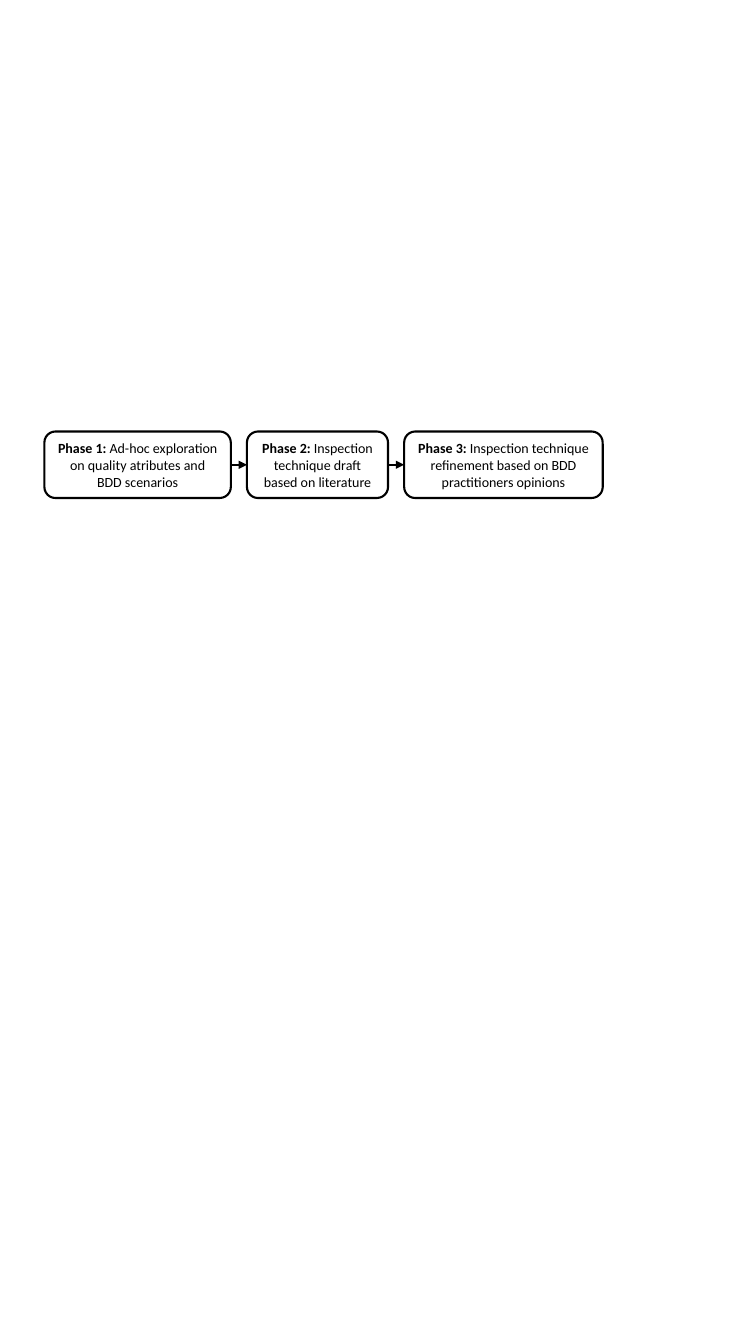
"""Draw three research phases as a row of linked boxes."""
from lxml.etree import SubElement
from pptx import Presentation
from pptx.dml.color import RGBColor
from pptx.enum.shapes import MSO_CONNECTOR, MSO_SHAPE
from pptx.enum.text import MSO_ANCHOR, PP_ALIGN
from pptx.oxml.ns import qn
from pptx.util import Inches, Pt

COLORS = {"ink": "000000", "paper": "FFFFFF"}
INK, PAPER = (RGBColor.from_string(COLORS[name]) for name in ("ink", "paper"))
FONT = {"name": "Calibri", "size": Pt(10)}
FRAME = {"word_wrap": True, "vertical_anchor": MSO_ANCHOR.MIDDLE}
PHASES = [
    (1.85, "Ad-hoc exploration on quality atributes and BDD scenarios"),
    (1.4, "Inspection technique draft based on literature"),
    (1.97, "Inspection technique refinement based on BDD practitioners opinions"),
]
LEFT, TOP, HIGH, GAP = 0.44, 4.28, 0.66, 0.16


def stroke(item):
    item.line.color.rgb = INK
    item.line.width = Pt(1.5)


deck = Presentation()
deck.slide_width, deck.slide_height = Inches(7.5), Inches(13.33)
slide = deck.slides.add_slide(deck.slide_layouts[6])

boxes = []
left = LEFT
for step, (wide, task) in enumerate(PHASES, 1):
    box = slide.shapes.add_shape(
        MSO_SHAPE.ROUNDED_RECTANGLE,
        Inches(left), Inches(TOP), Inches(wide), Inches(HIGH),
    )
    box.shadow.inherit = False
    box.fill.solid()
    box.fill.fore_color.rgb = PAPER
    stroke(box)
    frame = box.text_frame
    for key, value in FRAME.items():
        setattr(frame, key, value)
    para = frame.paragraphs[0]
    para.alignment = PP_ALIGN.CENTER
    for text, bold in ((f"Phase {step}: ", True), (task, False)):
        run = para.add_run()
        run.text = text
        for key, value in {**FONT, "bold": bold}.items():
            setattr(run.font, key, value)
        run.font.color.rgb = INK
    boxes.append(box)
    left += wide + GAP

for start, end in zip(boxes, boxes[1:]):
    arrow = slide.shapes.add_connector(MSO_CONNECTOR.ELBOW, 0, 0, 0, 0)
    arrow.begin_connect(start, 3)
    arrow.end_connect(end, 1)
    stroke(arrow)
    SubElement(arrow.line._get_or_add_ln(), qn("a:tailEnd"), type="triangle")
    SubElement(arrow._element.spPr, qn("a:effectLst"))

deck.save("out.pptx")
